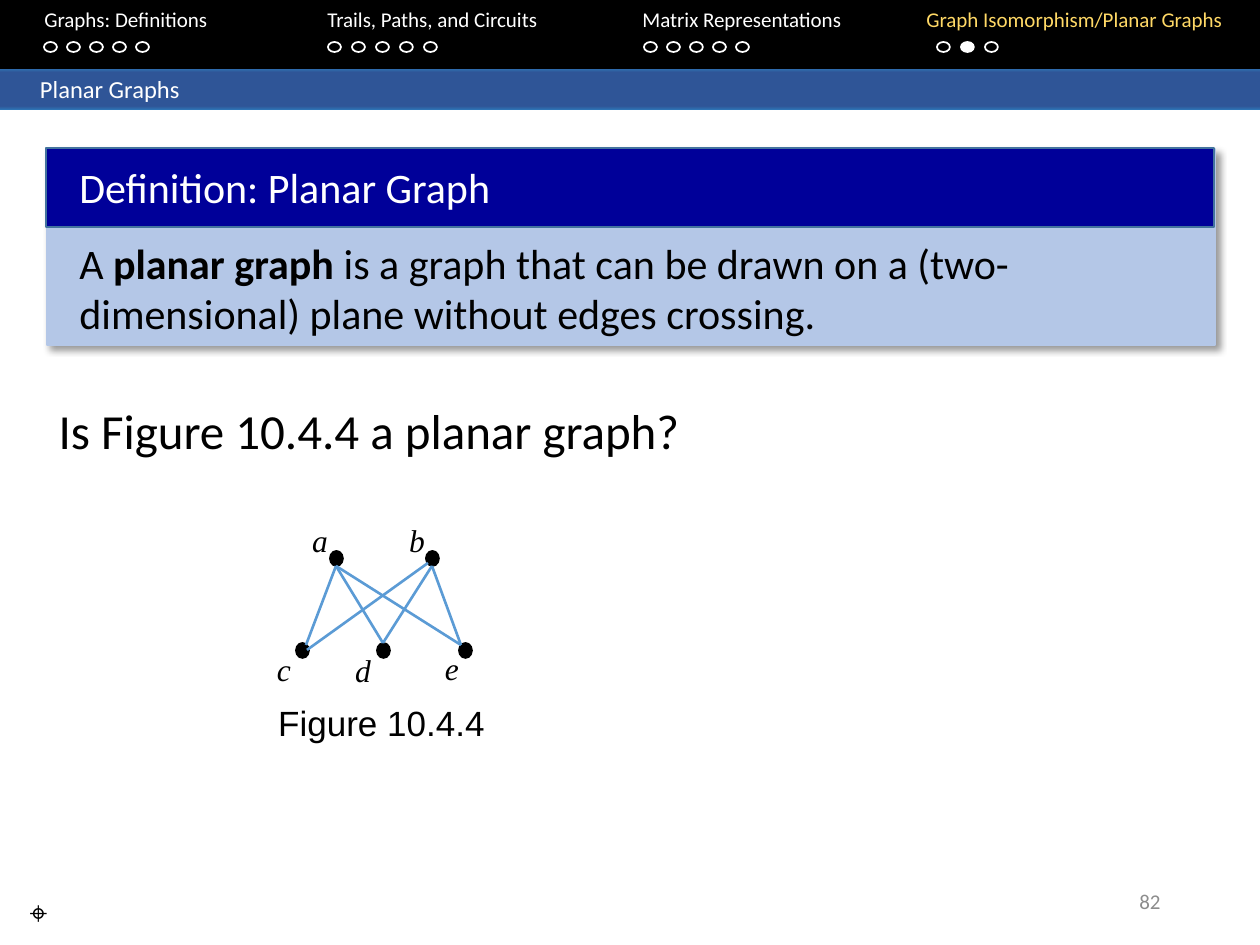
from pptx import Presentation
from pptx.dml.color import RGBColor
from pptx.enum.shapes import MSO_CONNECTOR as Link, MSO_SHAPE as Kind
from pptx.enum.text import MSO_ANCHOR as Anchor, MSO_AUTO_SIZE as Fit, PP_ALIGN as Align
from pptx.oxml import parse_xml
from pptx.oxml.ns import nsdecls
from pptx.util import Inches, Pt

PX = 914400 // 126
NS = nsdecls("a")
rgb = RGBColor.from_string

deck = Presentation()
deck.slide_width, deck.slide_height = Inches(10), Inches(7.5)
slide = deck.slides.add_slide(deck.slide_layouts[1])
shapes = slide.shapes


def draw(kind, box, fill, line):
    """Add a preset shape; fill None leaves it hollow."""
    item = shapes.add_shape(kind, *[n * PX for n in box])
    item.shadow.inherit = False
    if fill:
        item.fill.solid()
        item.fill.fore_color.rgb = rgb(fill)
    else:
        item.fill.background()
    item.line.color.rgb = rgb(line)
    item.line.width = Pt(1)
    return item


def write(item, box, runs, size, font="Calibri", align=Align.LEFT):
    """Place a text shape and fill it with (text, colour, style) runs."""
    item.left, item.top, item.width, item.height = [n * PX for n in box]
    frame = item.text_frame
    frame.word_wrap = True
    frame.auto_size = Fit.NONE
    para = frame.paragraphs[0]
    para.alignment = align
    para.space_before = Pt(0)
    for words, color, style in runs:
        run = para.add_run()
        run.text = words
        run.font.name, run.font.size = font, Pt(size)
        run.font.color.rgb = rgb(color)
        run.font.bold, run.font.italic = style == "bold", style == "italic"
    return para


# Navigation strip: section names on tab stops, progress dots below
draw(Kind.RECTANGLE, (0, 0, 1260, 68), "000000", "000000")
names = [
    ("\tGraphs: Definitions", "FFFFFF", ""),
    ("\tTrails, Paths, and Circuits", "FFFFFF", ""),
    ("\tMatrix Representations", "FFFFFF", ""),
    ("\tGraph Isomorphism/Planar Graphs", "FFD966", ""),
]
nav = write(shapes.add_textbox(0, 0, 0, 0), (0, 0, 1260, 63), names, 12)
stops = "".join(f'<a:tab pos="{x * PX}" algn="l"/>' for x in (32, 315, 630, 914))
nav._p.get_or_add_pPr().append(parse_xml(f"<a:tabLst {NS}>{stops}</a:tabLst>"))

for left, step, count in [(44, 23, 5), (328, 24, 5), (644, 23, 5), (937, 24, 3)]:
    for i in range(count):
        fill = "FFFFFF" if (left, i) == (937, 1) else None
        draw(Kind.OVAL, (left + i * step, 42, 13, 10), fill, "FFFFFF")

# Title bar
title = shapes.title
write(title, (0, 68, 1260, 42), [("Planar Graphs", "FFFFFF", "")], 14)
frame = title.text_frame
frame.margin_left = 40 * PX
frame.margin_top = frame.margin_bottom = 0
frame.vertical_anchor = Anchor.MIDDLE
shades = [(0, "2E75B6"), (11, "2F5597"), (91, "2F5597"), (100, "2E75B6")]
stops = "".join(
    f'<a:gs pos="{at * 1000}"><a:srgbClr val="{color}"/></a:gs>' for at, color in shades
)
title._element.spPr.append(parse_xml(
    f'<a:gradFill {NS} rotWithShape="1"><a:gsLst>{stops}</a:gsLst>'
    '<a:lin ang="5400000" scaled="0"/></a:gradFill>'
))

# Definition block
panel = draw(Kind.RECTANGLE, (47, 149, 1168, 196), "B4C7E7", "B4C7E7")
panel._element.spPr.remove(panel._element.spPr.find(".//{*}effectLst"))
panel._element.spPr.append(parse_xml(
    f'<a:effectLst {NS}><a:outerShdw blurRad="{Pt(4)}" dist="{Pt(3)}" dir="2700000" '
    'algn="tl" rotWithShape="0"><a:srgbClr val="000000"><a:alpha val="40000"/>'
    "</a:srgbClr></a:outerShdw></a:effectLst>"
))
draw(Kind.RECTANGLE, (46, 148, 1168, 79), "000099", "43739E")
write(shapes.add_textbox(0, 0, 0, 0), (67, 155, 1113, 63),
      [("Definition: Planar Graph", "FFFFFF", "")], 24)
meaning = [
    ("A ", "000000", ""),
    ("planar graph ", "000000", "bold"),
    ("is a graph that can be drawn on a (two-dimensional) plane without edges crossing.",
     "000000", ""),
]
write(shapes.add_textbox(0, 0, 0, 0), (67, 231, 1113, 114), meaning, 24)

# Question
ask = write(slide.placeholders[1], (46, 394, 1150, 72),
            [("Is Figure 10.4.4 a planar graph?", "000000", "")], 28)
props = ask._p.get_or_add_pPr()
props.set("marL", "0")
props.set("indent", "0")
props.append(parse_xml(f"<a:buNone {NS}/>"))

# Graph: vertex centre, then label centre and top
nodes = {
    "a": (336, 558, 320, 515),
    "b": (432, 558, 417, 515),
    "c": (302, 650, 284, 644),
    "d": (383, 650, 363, 645),
    "e": (465, 650, 452, 643),
}
for name, (x, y, mid, top) in nodes.items():
    draw(Kind.OVAL, (x - 6, y - 7, 13, 15), "000000", "000000")
    write(shapes.add_textbox(0, 0, 0, 0), (mid - 24, top, 48, 50),
          [(name, "000000", "italic")], 18, "Times New Roman", Align.CENTER)

edges = [
    (336, 566, 306, 645), (336, 566, 383, 643), (336, 566, 461, 645),
    (428, 563, 307, 650), (432, 566, 383, 643), (432, 566, 461, 645),
]
for ends in edges:
    edge = shapes.add_connector(Link.STRAIGHT, *[n * PX for n in ends])
    edge.line.color.rgb = rgb("5B9BD5")
    edge.line.width = Pt(1.5)
    edge._element.spPr.append(parse_xml(f"<a:effectLst {NS}/>"))

write(shapes.add_textbox(0, 0, 0, 0), (234, 695, 295, 55),
      [("Figure 10.4.4", "000000", "")], 20, "Arial", Align.CENTER)

# Footer
write(shapes.add_textbox(0, 0, 0, 0), (0, 887, 77, 50),
      [("⌖", "000000", "")], 18, align=Align.CENTER)
page = shapes.add_textbox(0, 0, 0, 0)
write(page, (890, 876, 283, 50), [("82", "8C8C8C", "")], 12, align=Align.RIGHT)
page.text_frame.vertical_anchor = Anchor.MIDDLE

deck.save("out.pptx")
